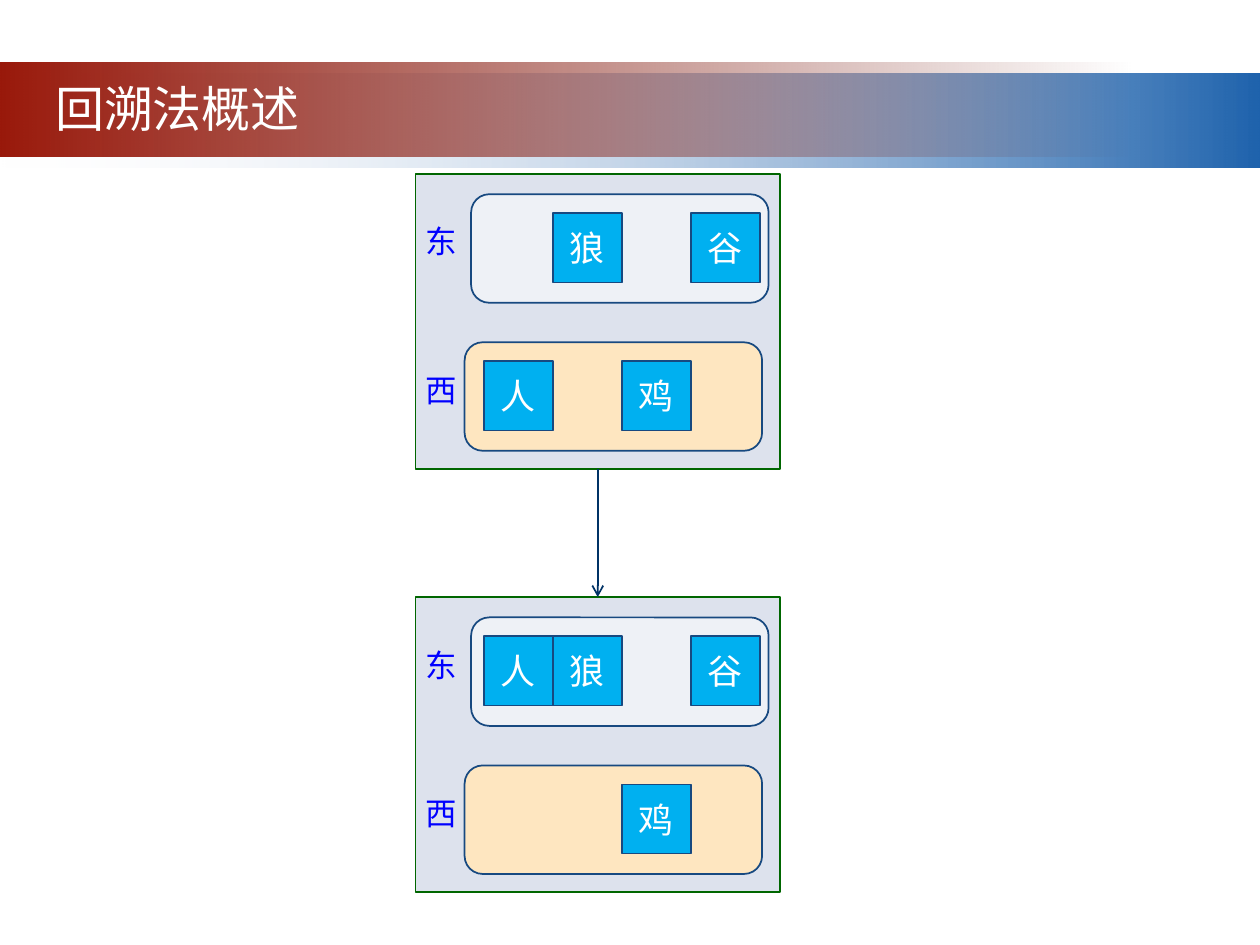
from lxml.etree import SubElement
from pptx import Presentation
from pptx.dml.color import RGBColor
from pptx.enum.shapes import MSO_CONNECTOR, MSO_SHAPE
from pptx.enum.text import MSO_ANCHOR, MSO_AUTO_SIZE, PP_ALIGN
from pptx.oxml.ns import qn
from pptx.util import Pt

# Content: per state, the passengers on each bank by column
TITLE = "回溯法概述"
STATES = [
    {"东": {1: "狼", 3: "谷"}, "西": {0: "人", 2: "鸡"}},
    {"东": {0: "人", 1: "狼", 3: "谷"}, "西": {2: "鸡"}},
]

# Colours and fonts
WHITE = RGBColor(0xFF, 0xFF, 0xFF)
PALE = RGBColor(0xF1, 0xF2, 0xF7)
BAND_BLUE = RGBColor(0x1F, 0x63, 0xAD)
BAND_RED = RGBColor(0x99, 0x19, 0x0B)
DARK_RED = RGBColor(0x6D, 0x12, 0x08)
PANEL_FILL = RGBColor(0xDD, 0xE2, 0xED)
PANEL_LINE = RGBColor(0x00, 0x66, 0x00)
EAST_FILL = RGBColor(0xEE, 0xF1, 0xF6)
WEST_FILL = RGBColor(0xFE, 0xE6, 0xC0)
OUTLINE = RGBColor(0x17, 0x49, 0x80)
TILE_FILL = RGBColor(0x00, 0xB0, 0xF0)
LABEL_BLUE = RGBColor(0x00, 0x00, 0xFF)
ARROW = RGBColor(0x00, 0x33, 0x66)
CJK_FONT = "Noto Sans CJK SC"
TILE_FONT = "DejaVu Sans"

# Geometry in points
PANEL_LEFT, PANEL_TOP, PANEL_STEP = 237.4, 99.4, 241.8
PANEL_WIDTH, PANEL_HEIGHT = 208.4, 168.5
BANK_WIDTH, BANK_HEIGHT = 170, 62
TILE_LEFT, TILE_STEP, TILE_SIZE = 276.5, 39.4, 39.6
LABEL_LEFT = 236.2
# Bank name: left edge, offset from the panel top, fill
BANKS = {"东": (269.2, 11.6, EAST_FILL), "西": (265.5, 96.2, WEST_FILL)}


def write_text(shape, text, *, size, color, font, align=PP_ALIGN.LEFT,
               anchor=MSO_ANCHOR.TOP, margin_x=7.2, margin_y=3.6):
    frame = shape.text_frame
    frame.word_wrap = True
    frame.auto_size = MSO_AUTO_SIZE.NONE
    frame.vertical_anchor = anchor
    frame.margin_left = frame.margin_right = Pt(margin_x)
    frame.margin_top = frame.margin_bottom = Pt(margin_y)
    paragraph = frame.paragraphs[0]
    paragraph.alignment = align
    run = paragraph.add_run()
    run.text = text
    run.font.size = Pt(size)
    run.font.bold = False
    run.font.color.rgb = color
    run.font.name = font
    SubElement(run._r.get_or_add_rPr(), qn("a:ea"), typeface=font)


def add_box(shapes, kind, left, top, width, height, fill=None, line=None):
    shape = shapes.add_shape(kind, Pt(left), Pt(top), Pt(width), Pt(height))
    shape.shadow.inherit = False
    if fill is not None:
        shape.fill.solid()
        shape.fill.fore_color.rgb = fill
    if line is None:
        shape.line.fill.background()
    else:
        shape.line.color.rgb = line
        shape.line.width = Pt(1)
    return shape


def add_band(shapes, top, width, colors, clear_stop):
    band = add_box(shapes, MSO_SHAPE.RECTANGLE, 0, top, width, 54)
    band.fill.gradient()
    band.fill.gradient_angle = 0
    for stop, color, position in zip(band.fill.gradient_stops, colors, (0, 1)):
        stop.color.rgb = color
        stop.position = position
    gradient_colors = list(band._element.spPr.iter(qn("a:srgbClr")))
    SubElement(gradient_colors[clear_stop], qn("a:alpha"), val="0")


def add_state(slide, state, top):
    shapes = slide.shapes.add_group_shape().shapes
    add_box(shapes, MSO_SHAPE.RECTANGLE, PANEL_LEFT, top,
            PANEL_WIDTH, PANEL_HEIGHT, PANEL_FILL, PANEL_LINE)
    for name, passengers in state.items():
        left, offset, fill = BANKS[name]
        bank_top = top + offset
        add_box(shapes, MSO_SHAPE.ROUNDED_RECTANGLE, left, bank_top,
                BANK_WIDTH, BANK_HEIGHT, fill, OUTLINE)
        label = shapes.add_textbox(Pt(LABEL_LEFT), Pt(bank_top + 12.6),
                                   Pt(33.8), Pt(29))
        write_text(label, name, size=18, color=LABEL_BLUE, font=CJK_FONT)
        for column, passenger in passengers.items():
            tile = add_box(shapes, MSO_SHAPE.RECTANGLE,
                           TILE_LEFT + column * TILE_STEP, bank_top + 10.8,
                           TILE_SIZE, TILE_SIZE, TILE_FILL, OUTLINE)
            write_text(tile, passenger, size=20, color=WHITE, font=TILE_FONT,
                       align=PP_ALIGN.CENTER, anchor=MSO_ANCHOR.MIDDLE)


def add_arrow(slide, x, top, bottom):
    arrow = slide.shapes.add_connector(MSO_CONNECTOR.STRAIGHT,
                                       Pt(x), Pt(top), Pt(x), Pt(bottom))
    arrow.line.color.rgb = ARROW
    arrow.line.width = Pt(1)
    SubElement(arrow.line._get_or_add_ln(), qn("a:tailEnd"), type="arrow")
    SubElement(arrow._element.spPr, qn("a:effectLst"))


def main():
    presentation = Presentation()
    presentation.slide_width, presentation.slide_height = Pt(720), Pt(540)
    slide = presentation.slides.add_slide(presentation.slide_layouts[5])

    # Title bands
    add_band(slide.shapes, 41.8, 720, (PALE, BAND_BLUE), clear_stop=0)
    add_band(slide.shapes, 35.7, 648, (BAND_RED, DARK_RED), clear_stop=1)

    # Title, brought in front of the bands
    title = slide.shapes.title
    title.left, title.top = Pt(-16.6), Pt(36)
    title.width, title.height = Pt(236), Pt(51)
    write_text(title, TITLE, size=28, color=WHITE, font=CJK_FONT,
               align=PP_ALIGN.CENTER, margin_y=8.6)
    slide.shapes._spTree.append(title._element)

    # States and the step between them
    for index, state in enumerate(STATES):
        top = PANEL_TOP + index * PANEL_STEP
        add_state(slide, state, top)
        if index:
            add_arrow(slide, PANEL_LEFT + PANEL_WIDTH / 2,
                      top - PANEL_STEP + PANEL_HEIGHT, top)

    presentation.save("out.pptx")


if __name__ == "__main__":
    main()
